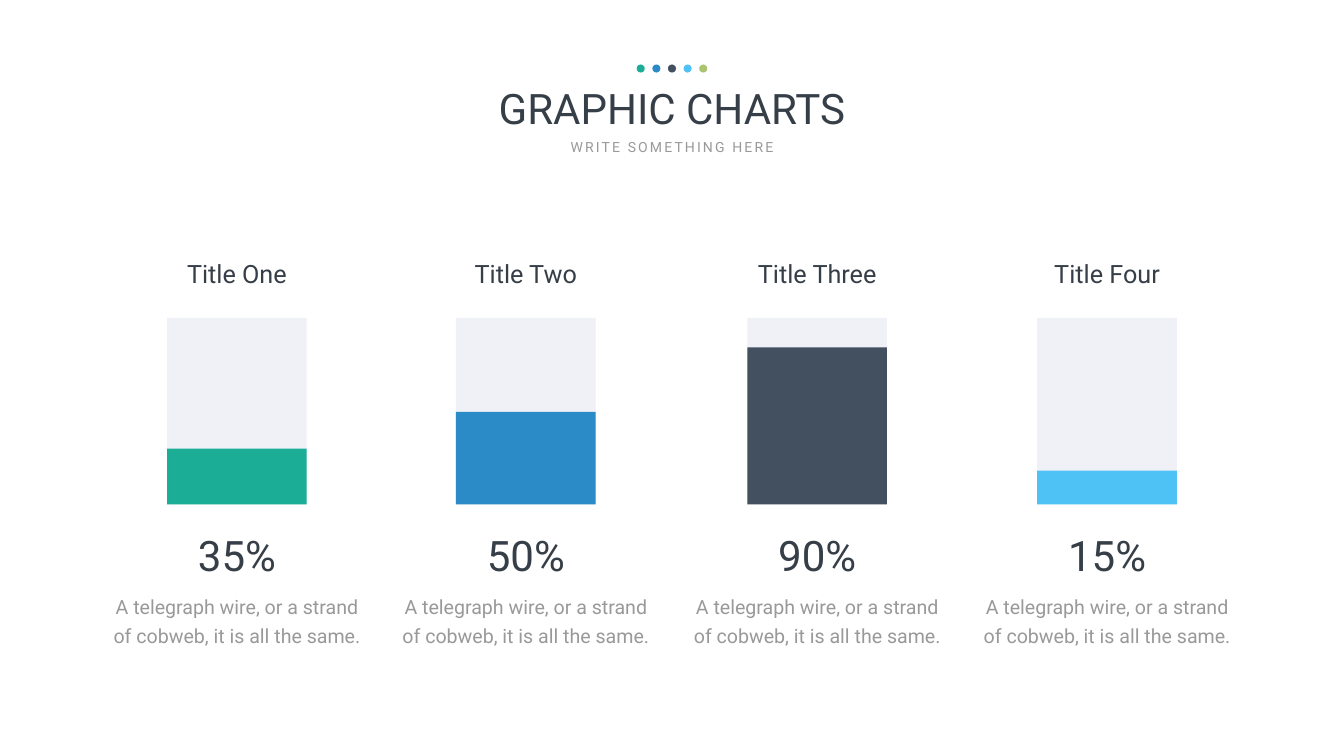
from pptx import Presentation
from pptx.dml.color import RGBColor
from pptx.enum.shapes import MSO_SHAPE as Shape
from pptx.enum.text import MSO_ANCHOR as Anchor, MSO_AUTO_SIZE as AutoSize, PP_ALIGN as Align
from pptx.util import Inches, Pt

# Content
HEADING = "GRAPHIC CHARTS"
SUBHEADING = "WRITE SOMETHING HERE"
DESCRIPTION = "A telegraph wire, or a strand of cobweb, it is all the same."
DARK, GREY, TRACK = "363E48", "999999", "EFF1F7"
ACCENTS = ["1CAD97", "2B8BC7", "425060", "4EC2F4", "AAC46F"]
# title, percentage, drawn share of the bar, column centre
COLUMNS = [
    ("Title One", "35%", 0.30, 4.70),
    ("Title Two", "50%", 0.497, 10.43),
    ("Title Three", "90%", 0.843, 16.21),
    ("Title Four", "15%", 0.181, 21.96),
]

# Layout, in inches
SLIDE_W, SLIDE_H = 26.66, 15
MIDDLE = SLIDE_W / 2
DOT, DOT_PITCH, DOT_TOP = 0.16, 0.31, 1.28
BAR_W, BAR_H, BAR_TOP = 2.77, 3.7, 6.31


def rgb(code):
    return RGBColor.from_string(code)


def box(center, top, width, height):
    return [Inches(v) for v in (center - width / 2, top, width, height)]


def add_text(text, place, size, color=DARK, holder=None, line=None, spacing=None, wrap=True):
    """Write centred text in a new text box, or in the given placeholder."""
    holder = holder or slide.shapes.add_textbox(*place)
    holder.left, holder.top, holder.width, holder.height = place
    frame = holder.text_frame
    frame.word_wrap = wrap
    frame.auto_size = AutoSize.NONE
    frame.vertical_anchor = Anchor.TOP
    paragraph = frame.paragraphs[0]
    paragraph.alignment = Align.CENTER
    paragraph.space_before = Pt(0)
    paragraph.line_spacing = Pt(line) if line else 1.0
    run = paragraph.add_run()
    run.text = text
    run.font.name = "Roboto"
    run.font.size = Pt(size)
    run.font.color.rgb = rgb(color)
    if spacing:
        run.font._element.set("spc", str(spacing * 100))


def add_block(kind, place, color):
    block = slide.shapes.add_shape(kind, *place)
    block.shadow.inherit = False
    block.fill.solid()
    block.fill.fore_color.rgb = rgb(color)
    block.line.fill.background()


deck = Presentation()
deck.slide_width, deck.slide_height = Inches(SLIDE_W), Inches(SLIDE_H)
slide = deck.slides.add_slide(deck.slide_layouts[5])
slide.background.fill.solid()
slide.background.fill.fore_color.rgb = rgb("FFFFFF")

# Heading
add_text(HEADING, box(MIDDLE, 1.59, 11.25, 1.11), 60, holder=slide.shapes.title)
add_text(SUBHEADING, box(MIDDLE, 2.7, 4.35, 0.44), 20, GREY, spacing=3, wrap=False)

# Row of dots, centred above the heading
for i, accent in enumerate(ACCENTS):
    center = MIDDLE + (i - (len(ACCENTS) - 1) / 2) * DOT_PITCH
    add_block(Shape.OVAL, box(center, DOT_TOP, DOT, DOT), accent)

# Columns: title, filled bar, percentage, description
for (title, percentage, share, center), accent in zip(COLUMNS, ACCENTS):
    filled = BAR_H * share
    add_text(title, box(center, 5.07, 3.57, 0.71), 36)
    add_block(Shape.RECTANGLE, box(center, BAR_TOP, BAR_W, BAR_H), TRACK)
    add_block(Shape.RECTANGLE, box(center, BAR_TOP + BAR_H - filled, BAR_W, filled), accent)
    add_text(percentage, box(center, 10.46, 2.33, 1.11), 60)
    add_text(DESCRIPTION, box(center, 11.66, 5.14, 1.2), 28, GREY, line=40.8)

deck.save("out.pptx")
